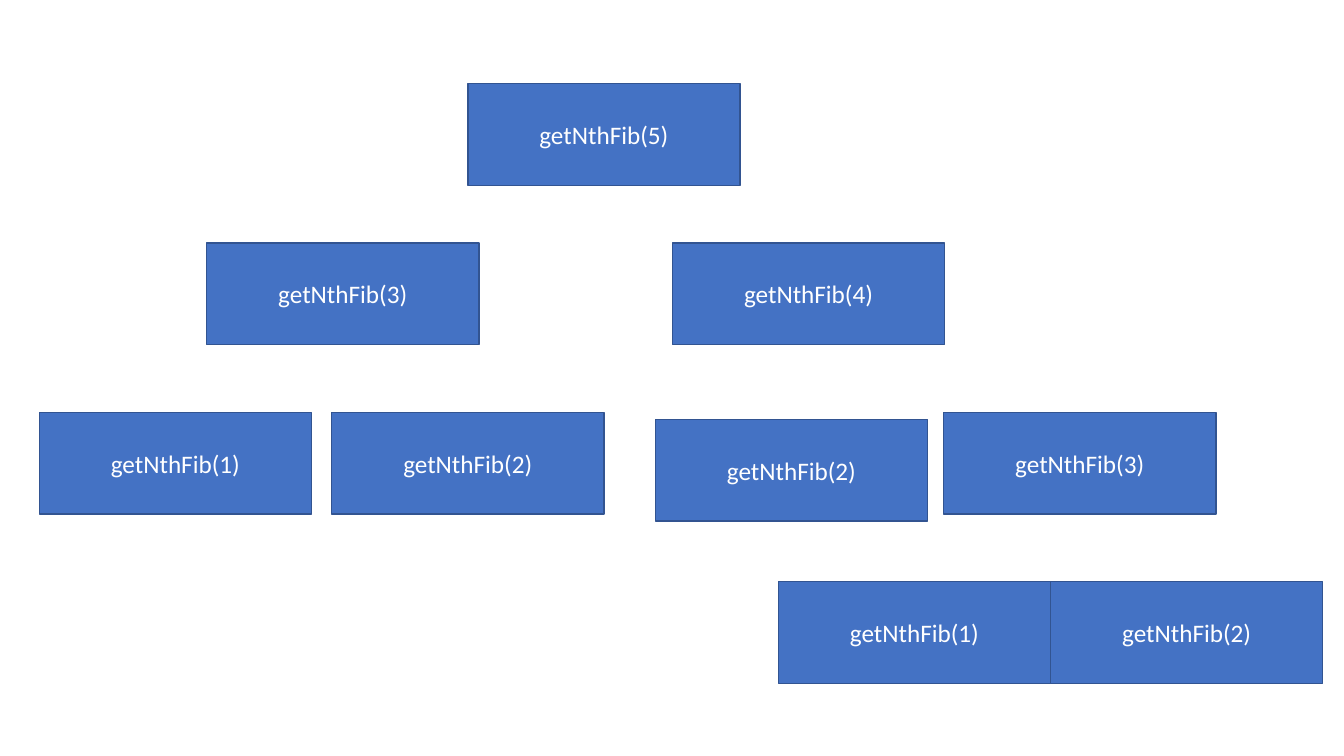
"""Draw the tree of recursive getNthFib calls."""
from typing import NamedTuple

from pptx import Presentation
from pptx import util as u
from pptx.dml import color
from pptx.enum import shapes, text
from pptx.slide import Slide

CALL_WIDTH, CALL_HEIGHT = u.Inches(2.7), u.Inches(1.01)
ROOT_TOP, SECOND_TOP, THIRD_TOP, LEAF_TOP = 0.83, 2.41, 4.09, 5.77


class Call(NamedTuple):
    """A recursive call and the corner of its box in inches."""
    n: int
    left: float
    top: float


CALLS = [
    Call(5, 4.64, ROOT_TOP),
    Call(3, 2.05, SECOND_TOP),
    Call(4, 6.67, SECOND_TOP),
    Call(1, 0.39, THIRD_TOP),
    Call(2, 3.29, THIRD_TOP),
    Call(2, 6.5, THIRD_TOP + 0.07),
    Call(3, 9.36, THIRD_TOP),
    Call(1, 7.72, LEAF_TOP),
    Call(2, 10.42, LEAF_TOP),
]


def rgb(value: str) -> color.RGBColor:
    """Turn a hex string into a colour."""
    return color.RGBColor.from_string(value)


def draw_call(slide: Slide, call: Call) -> None:
    """Draw one call as a labelled box."""
    box = slide.shapes.add_shape(
        shapes.MSO_SHAPE.RECTANGLE,
        u.Inches(call.left), u.Inches(call.top), CALL_WIDTH, CALL_HEIGHT,
    )
    box.shadow.inherit = False
    box.fill.solid()
    box.fill.fore_color.rgb = rgb("4472C4")
    box.line.color.rgb = rgb("325491")
    box.line.width = u.Pt(1)
    box.text_frame.vertical_anchor = text.MSO_ANCHOR.MIDDLE
    paragraph = box.text_frame.paragraphs[0]
    paragraph.alignment = text.PP_ALIGN.CENTER
    label = paragraph.add_run()
    label.text = f"getNthFib({call.n})"
    label.font.name = "Calibri"
    label.font.size = u.Pt(18)
    label.font.color.rgb = rgb("FFFFFF")


def main() -> None:
    """Build and save the call tree."""
    deck = Presentation()
    deck.slide_width, deck.slide_height = u.Inches(13.33), u.Inches(7.5)
    call_tree = deck.slides.add_slide(deck.slide_layouts[6])
    for call in CALLS:
        draw_call(call_tree, call)
    deck.save("out.pptx")


main()
